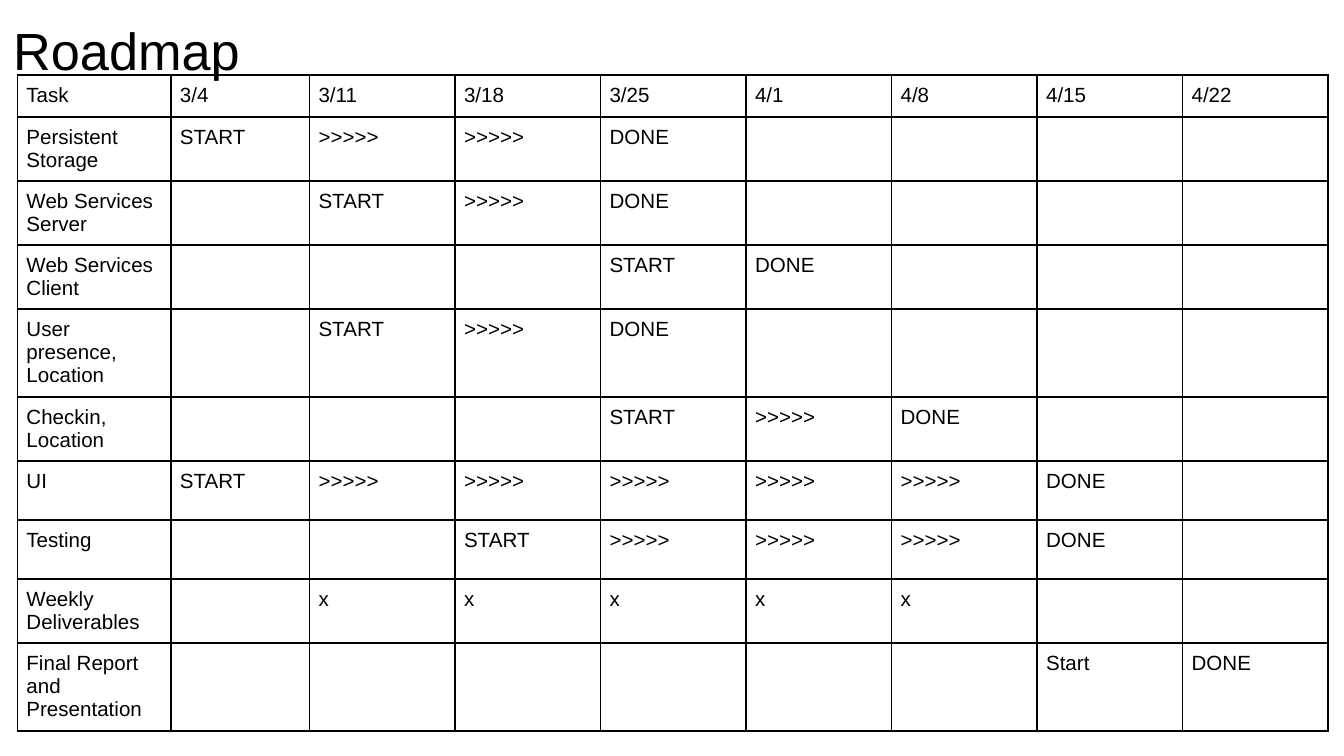
from dataclasses import dataclass

import lxml.etree
import pptx
import pptx.dml.color
import pptx.enum.text
import pptx.oxml.ns
import pptx.slide
import pptx.table
import pptx.text.text
import pptx.util
from pptx.util import Cm

COLOURS = {"ink": "000000", "grid": "000000"}
FONT = "Arial"
WEEKS = ["3/4", "3/11", "3/18", "3/25", "4/1", "4/8", "4/15", "4/22"]
GOING = ">>>>>"
COLUMN_WIDTHS = [2.9, 2.62] + [2.75] * 7
CELL_MARGIN = 0.17


@dataclass
class Task:
    name: str
    first_week: str
    marks: list[str]
    height: float = 1.21

    def row(self) -> list[str]:
        """Task name followed by one entry for every week."""
        before = [""] * WEEKS.index(self.first_week)
        after = [""] * (len(WEEKS) - len(before) - len(self.marks))
        return [self.name, *before, *self.marks, *after]


def spanning(going_weeks: int) -> list[str]:
    """Marks of a task that starts, goes on for some weeks and is done."""
    return ["START", *[GOING] * going_weeks, "DONE"]


HEADER = Task("Task", "3/4", WEEKS, height=0.79)
TASKS = [
    Task("Persistent Storage", "3/4", spanning(2)),
    Task("Web Services\nServer", "3/11", spanning(1)),
    Task("Web Services Client", "3/25", spanning(0)),
    Task("User presence, Location", "3/11", spanning(1), height=1.66),
    Task("Checkin, Location", "3/25", spanning(1)),
    Task("UI", "3/4", spanning(5), height=1.07),
    Task("Testing", "3/18", spanning(3), height=1.07),
    Task("Weekly Deliverables", "3/11", ["x"] * 5),
    Task("Final Report and Presentation", "4/15", ["Start", "DONE"], height=1.66),
]


def write(frame: pptx.text.text.TextFrame, text: str, *, size: float,
          colour: str = "ink", font: str = FONT) -> None:
    frame.text = text
    for paragraph in frame.paragraphs:
        paragraph.alignment = pptx.enum.text.PP_ALIGN.LEFT
        for run in paragraph.runs:
            run.font.name = font
            run.font.size = pptx.util.Pt(size)
            run.font.color.rgb = pptx.dml.color.RGBColor.from_string(COLOURS[colour])


def draw_borders(cell: pptx.table._Cell, width: float = 1) -> None:
    qn = pptx.oxml.ns.qn
    properties = cell._tc.get_or_add_tcPr()
    for side in ("a:lnL", "a:lnR", "a:lnT", "a:lnB"):
        line = lxml.etree.SubElement(properties, qn(side), w=str(pptx.util.Pt(width)))
        fill = lxml.etree.SubElement(line, qn("a:solidFill"))
        lxml.etree.SubElement(fill, qn("a:srgbClr"), val=COLOURS["grid"])


def draw_title(slide: pptx.slide.Slide, text: str) -> None:
    title = slide.shapes.title
    title.left, title.top, title.width, title.height = Cm(0), Cm(0), Cm(23.67), Cm(1.6)
    frame = title.text_frame
    frame.margin_left = frame.margin_right = frame.margin_bottom = Cm(0.25)
    frame.margin_top = Cm(0.35)
    frame.vertical_anchor = pptx.enum.text.MSO_ANCHOR.TOP
    frame.auto_size = pptx.enum.text.MSO_AUTO_SIZE.NONE
    write(frame, text, size=28)


def draw_roadmap(slide: pptx.slide.Slide, tasks: list[Task]) -> None:
    roadmap = slide.shapes.add_table(
        len(tasks), len(COLUMN_WIDTHS), Cm(0.33), Cm(1.42),
        Cm(sum(COLUMN_WIDTHS)), Cm(sum(task.height for task in tasks))).table
    roadmap.first_row = roadmap.horz_banding = False
    for column, width in zip(roadmap.columns, COLUMN_WIDTHS):
        column.width = Cm(width)
    for row, task in zip(roadmap.rows, tasks):
        row.height = Cm(task.height)
        for cell, entry in zip(row.cells, task.row()):
            cell.margin_left = cell.margin_right = Cm(CELL_MARGIN)
            cell.margin_top = cell.margin_bottom = Cm(CELL_MARGIN)
            draw_borders(cell)
            cell.fill.background()
            if entry:
                write(cell.text_frame, entry, size=11)


def main() -> None:
    presentation = pptx.Presentation()
    presentation.slide_width, presentation.slide_height = Cm(25.4), Cm(14.29)
    title_only = presentation.slide_layouts[5]
    slide = presentation.slides.add_slide(title_only)
    draw_title(slide, "Roadmap")
    draw_roadmap(slide, [HEADER, *TASKS])
    presentation.save("out.pptx")


if __name__ == "__main__":
    main()
